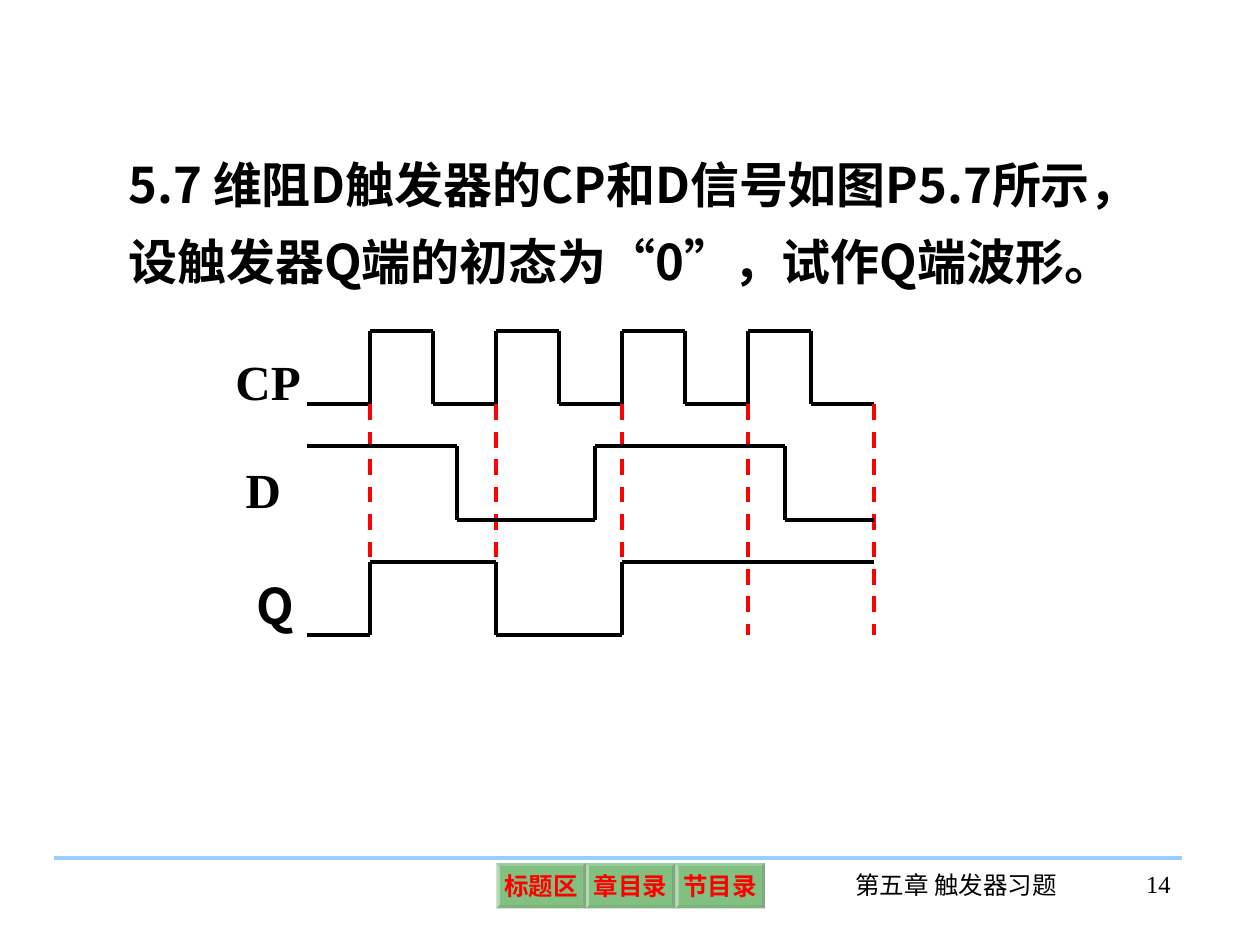
import pptx
import pptx.dml.color
import pptx.enum.dml
import pptx.enum.shapes
import pptx.enum.text
import pptx.oxml
import pptx.oxml.ns
import pptx.util

Inches = pptx.util.Inches
Pt = pptx.util.Pt
RGBColor = pptx.dml.color.RGBColor
ALIGN = pptx.enum.text.PP_ALIGN

BLACK = RGBColor(0x00, 0x00, 0x00)
RED = RGBColor(0xFF, 0x00, 0x00)
GREEN = RGBColor(0x00, 0x80, 0x00)
SKY = RGBColor(0x99, 0xCC, 0xFF)
SERIF = "Times New Roman"
SANS = "Noto Sans CJK SC"


class SlideBuilder:
    line_width = Pt(2.25)
    button_alpha = 49000
    bevel = 0.07

    def __init__(self, slide):
        self.slide = slide

    def add_xml(self, parent, tag, **attributes):
        child = pptx.oxml.parse_xml(f"<{tag} {pptx.oxml.ns.nsdecls('a')}/>")
        for name, value in attributes.items():
            child.set(name, value)
        parent.append(child)

    def style_text(self, frame, words, size, font, color, bold, align):
        frame.text = words
        paragraph = frame.paragraphs[0]
        paragraph.alignment = align
        run = paragraph.runs[0]
        run.font.size = Pt(size)
        run.font.bold = bold
        run.font.name = font
        run.font.color.rgb = color
        self.add_xml(run.font._element, "a:ea", typeface=SANS)
        return paragraph

    def text(self, words, left, top, width, height, size=28, font=SERIF,
             bold=True, align=ALIGN.LEFT, spacing=None):
        box = self.slide.shapes.add_textbox(
            Inches(left), Inches(top), Inches(width), Inches(height))
        box.text_frame.word_wrap = True
        paragraph = self.style_text(box.text_frame, words, size, font, BLACK, bold, align)
        paragraph.line_spacing = spacing

    def line(self, start, end, color=BLACK, dashed=False):
        connector = self.slide.shapes.add_connector(
            pptx.enum.shapes.MSO_CONNECTOR.STRAIGHT,
            *(Inches(value) for value in (*start, *end)))
        connector.line.color.rgb = color
        connector.line.width = self.line_width
        if dashed:
            connector.line.dash_style = pptx.enum.dml.MSO_LINE.DASH
        self.add_xml(connector._element.spPr, "a:effectLst")

    def waveform(self, high, low, edges, starts_high):
        """Draw a square wave that changes level at every inner edge."""
        level, other = (high, low) if starts_high else (low, high)
        for index, (left, right) in enumerate(zip(edges, edges[1:])):
            if index:
                self.line((left, other), (left, level))
            self.line((left, level), (right, level))
            level, other = other, level

    def button(self, words, left, top, width, height):
        button = self.slide.shapes.add_shape(
            pptx.enum.shapes.MSO_SHAPE.BEVEL,
            Inches(left), Inches(top), Inches(width), Inches(height))
        button.adjustments[0] = self.bevel
        button.shadow.inherit = False
        button.line.fill.background()
        button.fill.solid()
        button.fill.fore_color.rgb = GREEN
        color = button._element.spPr.find(".//" + pptx.oxml.ns.qn("a:srgbClr"))
        self.add_xml(color, "a:alpha", val=str(self.button_alpha))
        frame = button.text_frame
        frame.word_wrap = False
        frame.vertical_anchor = pptx.enum.text.MSO_ANCHOR.MIDDLE
        frame.margin_left = frame.margin_right = Inches(0.04)
        frame.margin_top = frame.margin_bottom = Inches(0.04)
        paragraph = self.style_text(frame, words, 14, SERIF, RED, True, ALIGN.CENTER)
        paragraph.space_before = Pt(8.8)


def main():
    presentation = pptx.Presentation()
    presentation.slide_width = Inches(10)
    presentation.slide_height = Inches(7.5)
    builder = SlideBuilder(presentation.slides.add_slide(presentation.slide_layouts[6]))

    # Problem statement
    builder.text("5.7 维阻D触发器的CP和D信号如图P5.7所示，设触发器Q端的初态为“0”，试作Q端波形。",
                 0.92, 1.04, 8.25, 1.92, font=SANS, spacing=1.3)

    # Signal names
    builder.text("CP", 1.77, 2.6, 0.75, 0.71, spacing=1.3)
    builder.text("D", 1.85, 3.6, 0.68, 0.57)
    builder.text("Q", 1.94, 4.38, 0.5, 0.71, font=SANS, spacing=1.3)

    # Clock, with a rising edge once per period
    start, period, periods = 2.44, 1, 4
    first_rise = start + period / 2
    rises = [first_rise + period * index for index in range(periods + 1)]
    end = rises[-1]
    clock_low, q_low = 3.21, 5.04
    half_periods = [start + period / 2 * index for index in range(2 * periods + 2)]
    builder.waveform(2.63, clock_low, half_periods, starts_high=False)

    # Dashed guides at the rising edges
    for rise in rises:
        builder.line((rise, clock_low), (rise, q_low), RED, dashed=True)

    # Input D and output Q
    builder.waveform(3.54, 4.13, [start, 3.63, 4.72, 6.23, end], starts_high=True)
    builder.waveform(4.46, q_low, [start, *rises[:3], end], starts_high=False)

    # Footer
    builder.line((0.43, 6.81), (9.38, 6.81), SKY)
    button_width = 0.71
    for index, words in enumerate(("标题区", "章目录", "节目录")):
        builder.button(words, 3.94 + button_width * index, 6.85, button_width, 0.36)
    builder.text("第五章 触发器习题", 6.66, 6.86, 1.86, 0.5, size=14, bold=False,
                 align=ALIGN.CENTER)
    builder.text("14", 8.53, 6.85, 0.86, 0.5, size=14, bold=False, align=ALIGN.RIGHT)

    presentation.save("out.pptx")


if __name__ == "__main__":
    main()
